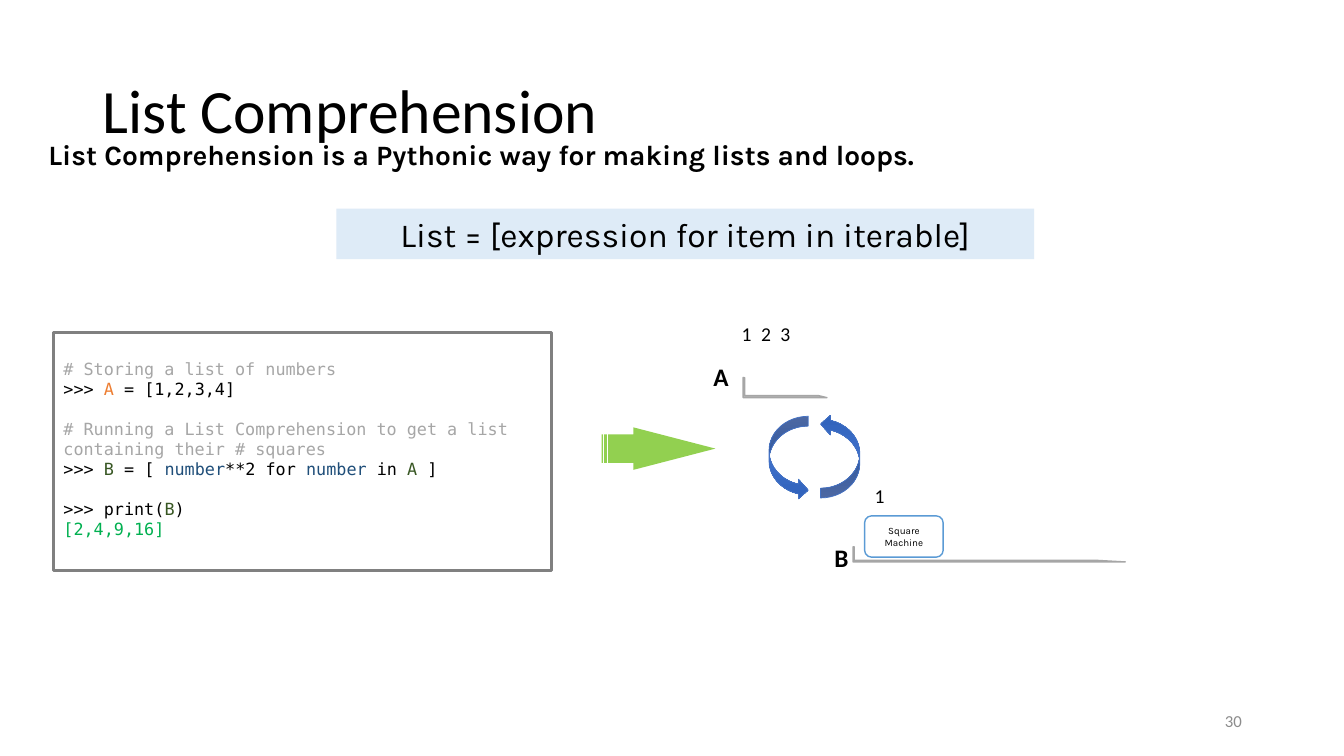
from copy import deepcopy

from pptx import Presentation
from pptx.dml.color import RGBColor
from pptx.enum.shapes import MSO_SHAPE
from pptx.enum.text import MSO_ANCHOR, PP_ALIGN
from pptx.util import Cm, Pt

BLACK = RGBColor(0x00, 0x00, 0x00)
WHITE = RGBColor(0xFF, 0xFF, 0xFF)
PAGE_GRAY = RGBColor(0x8C, 0x8C, 0x8C)
COMMENT_GRAY = RGBColor(0xA6, 0xA6, 0xA6)
FRAME_GRAY = RGBColor(0x80, 0x80, 0x80)
TRAY_GRAY = RGBColor(0xBF, 0xBF, 0xBF)
ORANGE = RGBColor(0xED, 0x7D, 0x31)
DARK_GREEN = RGBColor(0x38, 0x57, 0x23)
NAVY = RGBColor(0x1F, 0x4E, 0x79)
OUTPUT_GREEN = RGBColor(0x00, 0xB0, 0x50)
ARROW_GREEN = RGBColor(0x92, 0xD0, 0x50)
PALE_BLUE = RGBColor(0xDE, 0xEB, 0xF7)
MACHINE_BLUE = RGBColor(0x5B, 0x9B, 0xD5)
LOOP_LINE = RGBColor(0x44, 0x72, 0xC4)
LOOP_BLUES = [
    RGBColor(0x61, 0x83, 0xCB),
    RGBColor(0x3E, 0x70, 0xCA),
    RGBColor(0x30, 0x62, 0xBB),
]

CODE = [
    (0, [("# Storing a list of numbers", COMMENT_GRAY)]),
    (0, [(">>> ", BLACK), ("A", ORANGE), (" = [1,2,3,4]", BLACK)]),
    (14, [("# Running a List Comprehension to get a list containing their # squares",
           COMMENT_GRAY)]),
    (0, [(">>> ", BLACK), ("B", DARK_GREEN), (" = [ ", BLACK), ("number", NAVY),
         ("**2 for ", BLACK), ("number", NAVY), (" in ", BLACK), ("A", DARK_GREEN),
         (" ]", BLACK)]),
    (14, [(">>> print(", BLACK), ("B", DARK_GREEN), (")", BLACK)]),
    (0, [("[2,4,9,16]", OUTPUT_GREEN)]),
]


def add_span(para, text, font="Calibri", size=14, color=BLACK, bold=False):
    span = para.add_run()
    span.text = text
    span.font.name = font
    span.font.size = Pt(size)
    span.font.color.rgb = color
    span.font.bold = bold


class SlideBuilder:
    body_font = "Karla"
    code_font = "DejaVu Sans Mono"

    def __init__(self, page):
        self.page = page

    def frame(self, box, anchor=MSO_ANCHOR.TOP):
        frame = box.text_frame
        frame.word_wrap = True
        frame.vertical_anchor = anchor
        return frame

    def text(self, text, place, align=PP_ALIGN.LEFT, anchor=MSO_ANCHOR.TOP,
             spacing=1.0, **style):
        box = self.page.shapes.add_textbox(*map(Cm, place))
        para = self.frame(box, anchor).paragraphs[0]
        para.alignment = align
        para.line_spacing = spacing
        add_span(para, text, **style)

    def code(self, lines, place):
        frame = self.frame(self.page.shapes.add_textbox(*map(Cm, place)))
        for index, (gap, spans) in enumerate(lines):
            para = frame.add_paragraph() if index else frame.paragraphs[0]
            if gap:
                para.space_before = Pt(gap)
            for text, color in spans:
                add_span(para, text, font=self.code_font, size=12, color=color)

    def shape(self, kind, place, fill=None, line=None, width=1, adjust=(), rotation=0):
        shape = self.page.shapes.add_shape(kind, *map(Cm, place))
        shape.shadow.inherit = False
        shape.rotation = rotation
        for index, value in enumerate(adjust):
            shape.adjustments[index] = value
        if fill is None:
            shape.fill.background()
        else:
            shape.fill.solid()
            shape.fill.fore_color.rgb = fill
        if line is None:
            shape.line.fill.background()
        else:
            shape.line.color.rgb = line
            shape.line.width = Pt(width)
        return shape

    def label(self, shape, text, size, anchor):
        para = self.frame(shape, anchor).paragraphs[0]
        para.alignment = PP_ALIGN.CENTER
        add_span(para, text, font=self.body_font, size=size)

    def tray(self, place):
        self.shape(MSO_SHAPE.HALF_FRAME, place, TRAY_GRAY, COMMENT_GRAY,
                   adjust=(0.08, 0.1), rotation=270)

    def loop_arrow(self, left, top, flipped=False):
        arrow = self.shape(MSO_SHAPE.CURVED_RIGHT_ARROW, (left, top, 0.99, 2.11),
                           line=LOOP_LINE, width=0.5)
        arrow.fill.gradient()
        arrow.fill.gradient_angle = 270
        stop_list = arrow._element.spPr.gradFill.gsLst
        stop_list.insert(1, deepcopy(stop_list[0]))
        for index, (stop, color) in enumerate(zip(arrow.fill.gradient_stops, LOOP_BLUES)):
            stop.position = index / 2
            stop.color.rgb = color
        if flipped:
            transform = arrow._element.spPr.xfrm
            transform.set("flipH", "1")
            transform.set("flipV", "1")


def main():
    deck = Presentation()
    deck.slide_width, deck.slide_height = Cm(33.87), Cm(19.05)
    builder = SlideBuilder(deck.slides.add_slide(deck.slide_layouts[6]))

    builder.text("List Comprehension", (2.34, 1.02, 29.21, 3.68), size=44,
                 anchor=MSO_ANCHOR.MIDDLE, spacing=0.9)
    builder.text("List Comprehension is a Pythonic way for making lists and loops.",
                 (0.97, 3.35, 32.61, 1.12), font=builder.body_font, size=20, bold=True)
    builder.text("30", (23.93, 17.65, 7.62, 1.02), size=12, color=PAGE_GRAY,
                 align=PP_ALIGN.RIGHT, anchor=MSO_ANCHOR.MIDDLE)

    builder.code(CODE, (1.35, 8.92, 12.55, 4.88))
    builder.shape(MSO_SHAPE.RECTANGLE, (1.35, 8.38, 12.55, 5.99),
                  line=FRAME_GRAY, width=2.25)

    formula = builder.shape(MSO_SHAPE.RECTANGLE, (8.48, 5.26, 17.58, 1.27), PALE_BLUE)
    builder.label(formula, "List = [expression for item in iterable]", 24, MSO_ANCHOR.TOP)
    builder.shape(MSO_SHAPE.STRIPED_RIGHT_ARROW, (15.16, 10.77, 2.87, 1.07),
                  ARROW_GREEN, adjust=(0.67, 1.93))
    machine = builder.shape(MSO_SHAPE.ROUNDED_RECTANGLE, (21.79, 13, 1.98, 1.04),
                            WHITE, MACHINE_BLUE)
    builder.label(machine, "Square Machine", 7, MSO_ANCHOR.MIDDLE)

    builder.tray((19.53, 8.71, 0.51, 2.11))
    builder.tray((24.74, 10.54, 0.38, 6.86))
    for name, left, top in (("A", 17.73, 8.99), ("B", 20.78, 13.54)):
        builder.text(name, (left, top, 0.74, 1.02), size=18, bold=True)

    for index, number in enumerate("123"):
        builder.text(number, (18.44 + 0.49 * index, 7.98, 0.53, 0.86))
    builder.text("1", (21.79, 12.07, 0.53, 0.86))

    builder.loop_arrow(19.38, 10.49)
    builder.loop_arrow(20.68, 10.44, flipped=True)

    deck.save("out.pptx")


if __name__ == "__main__":
    main()
